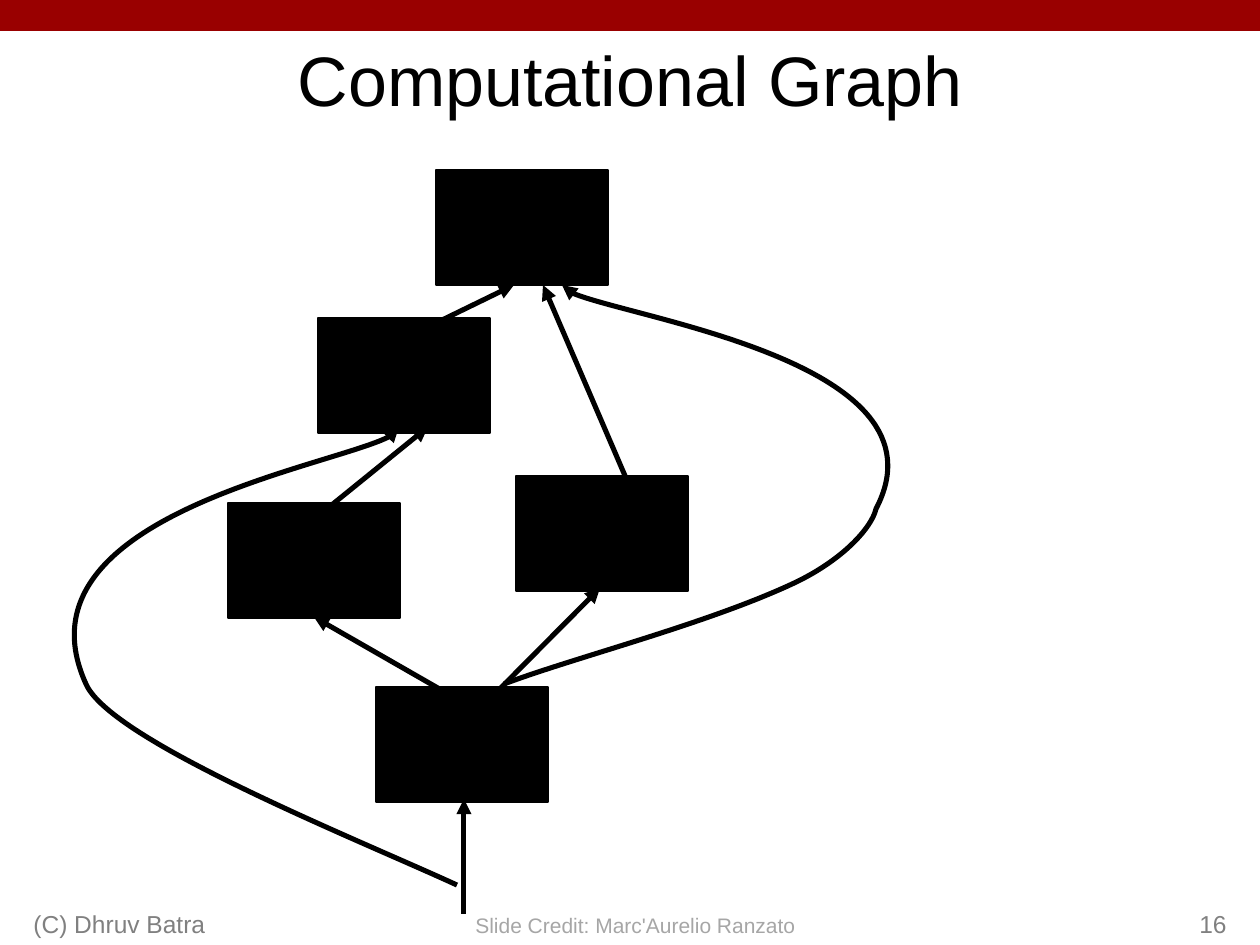
from typing import NamedTuple

from lxml.etree import SubElement
from pptx import Presentation
from pptx.dml.color import RGBColor
from pptx.enum.shapes import MSO_CONNECTOR as Connector, MSO_SHAPE as Shape
from pptx.enum.text import MSO_ANCHOR as Anchor, PP_ALIGN as Align
from pptx.oxml.ns import qn
from pptx.util import Pt

PX = 914400 / 126  # EMU in one px
BLACK, RED, GREY, LIGHT_GREY = "000000", "990000", "808080", "A6A6A6"
NODE_W, NODE_H = 172, 115
ARROW_WIDTH = 2.89

Point = tuple[int, int]


class Node(NamedTuple):
    left: int
    top: int


class Arrow(NamedTuple):
    start: Point
    end: Point


class Curve(NamedTuple):
    """A start point, then three Bézier points for each segment."""
    start: Point
    points: list[Point]


NODES = [Node(228, 503), Node(516, 476), Node(376, 687), Node(318, 318), Node(436, 170)]
ARROWS = [
    Arrow((464, 914), (464, 799)),
    Arrow((464, 703), (314, 617)),
    Arrow((629, 485), (543, 285)),
    Arrow((399, 341), (514, 285)),
    Arrow((457, 732), (600, 588)),
    Arrow((286, 542), (428, 427)),
]
CURVES = [
    Curve((457, 885), [(357, 839), (111, 741), (86, 684),
                       (9, 515), (407, 454), (399, 427)]),
    Curve((504, 684), [(573, 658), (703, 625), (790, 585),
                       (843, 561), (872, 527), (876, 509),
                       (953, 362), (556, 307), (562, 285)]),
]


def emu(*lengths: int) -> list[int]:
    return [round(length * PX) for length in lengths]


def rgb(color: str) -> RGBColor:
    return RGBColor.from_string(color)


def add_rect(slide, left: int, top: int, width: int, height: int, color: str, outlined=False):
    sp = slide.shapes.add_shape(Shape.RECTANGLE, *emu(left, top, width, height))
    sp.shadow.inherit = False
    sp.fill.solid()
    sp.fill.fore_color.rgb = rgb(color)
    if outlined:
        sp.line.color.rgb = rgb(color)
        sp.line.width = Pt(0.75)
    else:
        sp.line.fill.background()


def style_arrow(sp):
    sp.line.color.rgb = rgb(BLACK)
    sp.line.width = Pt(ARROW_WIDTH)
    SubElement(sp.line._get_or_add_ln(), qn("a:tailEnd"), type="triangle")


def add_arrow(slide, arrow: Arrow):
    line = slide.shapes.add_connector(Connector.STRAIGHT, *emu(*arrow.start, *arrow.end))
    style_arrow(line)
    SubElement(line._element.spPr, qn("a:effectLst"))


def add_curve(slide, curve: Curve):
    """Build the control polygon, then turn each three of its sides into a Bézier segment."""
    builder = slide.shapes.build_freeform(*curve.start, scale=PX)
    builder.add_line_segments(curve.points, close=False)
    sp = builder.convert_to_shape()
    sp.shadow.inherit = False
    sp.fill.background()
    style_arrow(sp)
    outline = next(sp._element.iter(qn("a:moveTo"))).getparent()
    sides = outline.findall(qn("a:lnTo"))
    for i in range(0, len(sides), 3):
        bezier = SubElement(outline, qn("a:cubicBezTo"))
        for side in sides[i:i + 3]:
            bezier.append(side[0])
            outline.remove(side)


def write_text(sp, text: str, *, size: int, color: str, align=Align.LEFT,
               anchor=Anchor.MIDDLE, wrap=True):
    tf = sp.text_frame
    tf.word_wrap = wrap
    tf.vertical_anchor = anchor
    p = tf.paragraphs[0]
    p.alignment = align
    r = p.add_run()
    r.text = text
    r.font.name = "Arial"
    r.font.size = Pt(size)
    r.font.color.rgb = rgb(color)


def add_text(slide, left: int, top: int, width: int, height: int, text: str, **text_format):
    sp = slide.shapes.add_textbox(*emu(left, top, width, height))
    write_text(sp, text, **text_format)


def main():
    prs = Presentation()
    prs.slide_width, prs.slide_height = emu(1260, 945)
    slide = prs.slides.add_slide(prs.slide_layouts[5])

    add_rect(slide, 0, 0, 1260, 31, RED)
    title = slide.shapes.title
    title.left, title.top, title.width, title.height = emu(94, 31, 1072, 95)
    write_text(title, "Computational Graph", size=40, color=BLACK, align=Align.CENTER)

    for node in NODES:
        add_rect(slide, node.left, node.top, NODE_W, NODE_H, BLACK, outlined=True)
    for arrow in ARROWS:
        add_arrow(slide, arrow)
    for curve in CURVES:
        add_curve(slide, curve)

    add_text(slide, 461, 906, 349, 38, "Slide Credit: Marc'Aurelio Ranzato",
             size=12, color=LIGHT_GREY, align=Align.CENTER, wrap=False)
    add_text(slide, 21, 882, 399, 63, "(C) Dhruv Batra",
             size=14, color=GREY, anchor=Anchor.BOTTOM)
    add_text(slide, 977, 882, 262, 63, "16",
             size=14, color=GREY, align=Align.RIGHT, anchor=Anchor.BOTTOM)

    prs.save("out.pptx")


if __name__ == "__main__":
    main()
